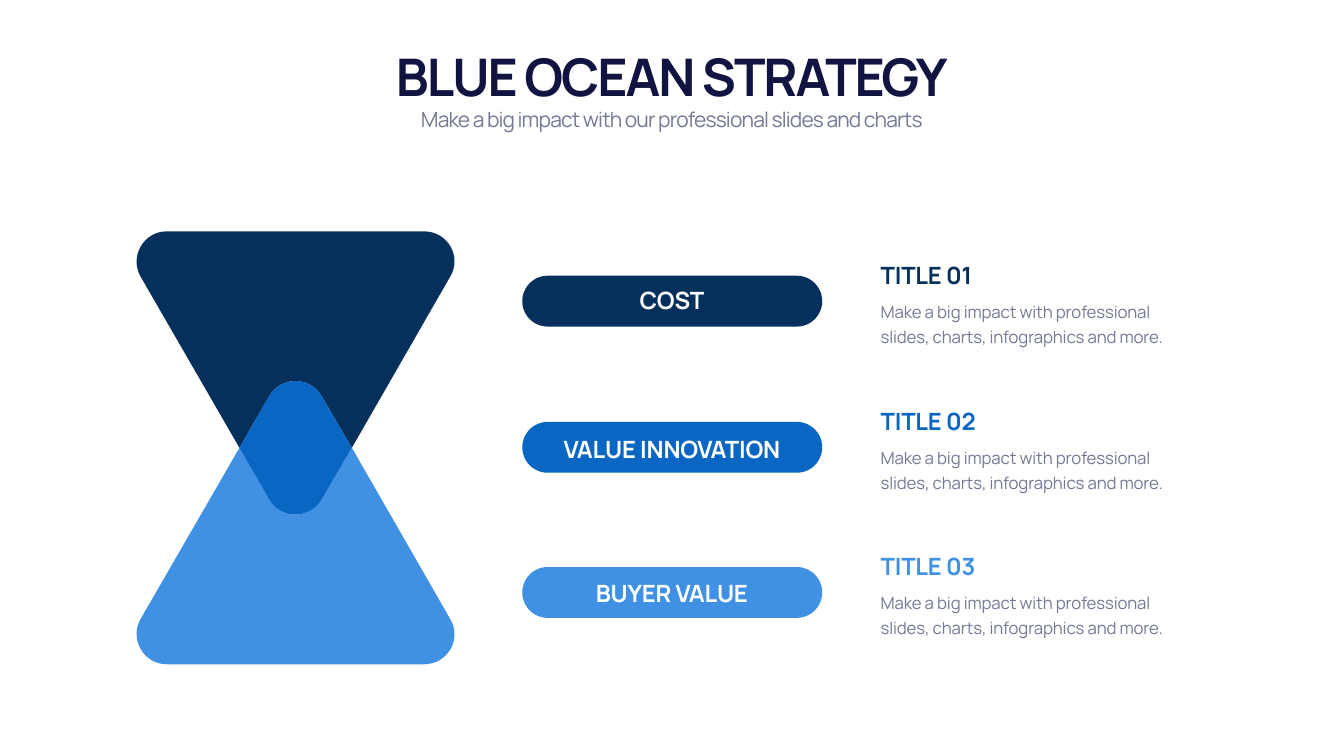
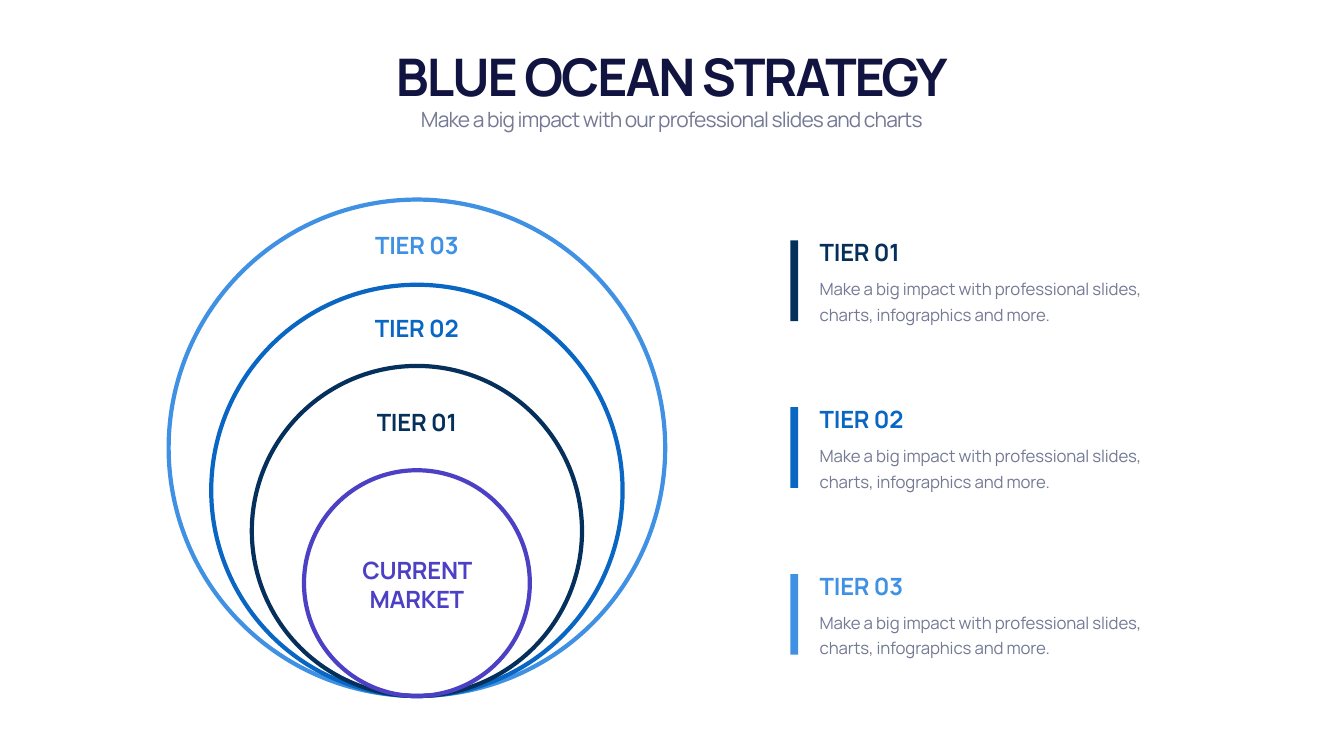
from lxml.etree import SubElement
from pptx import Presentation
from pptx.dml.color import RGBColor
from pptx.enum.shapes import MSO_SHAPE as SHAPE
from pptx.enum.text import MSO_ANCHOR as ANCHOR, MSO_AUTO_SIZE as AUTO, PP_ALIGN as ALIGN
from pptx.oxml.ns import qn
from pptx.util import Inches, Pt

COLORS = {
    "white": "FFFFFF", "ink": "111340", "gray": "747994",
    "navy": "06305C", "blue": "0A66C3", "sky": "4091E3", "violet": "4C40C5",
}
TIER_COLORS = ["navy", "blue", "sky"]
STYLES = {
    "title": {"size": Pt(74), "bold": True, "spc": -290},
    "subtitle": {"size": Pt(30), "bold": False, "spc": -120},
    "heading": {"size": Pt(34), "bold": True, "spc": -30},
    "body": {"size": Pt(24), "bold": False, "spc": -20},
}
FONT = "Manrope"
TITLE = "BLUE OCEAN STRATEGY"
SUBTITLE = "Make a big impact with our professional slides and charts"
BODY = "Make a big impact with professional slides, charts, infographics and more."


def rgb(name):
    return RGBColor.from_string(COLORS[name])


class Deck:
    def __init__(self):
        self.prs = Presentation()
        self.prs.slide_width = Inches(26.66)
        self.prs.slide_height = Inches(15)
        self.s = None

    def slide(self):
        self.s = self.prs.slides.add_slide(self.prs.slide_layouts[6])
        self.text(TITLE, "title", "ink", (1.66, 0.82, 23.33, 1.35), ANCHOR.BOTTOM, ALIGN.CENTER)
        self.text(SUBTITLE, "subtitle", "gray", (1.66, 2.07, 23.33, 0.61), align=ALIGN.CENTER)

    def text(self, words, style, color, box, anchor=ANCHOR.TOP, align=ALIGN.LEFT, spacing=None):
        tf = self.s.shapes.add_textbox(*map(Inches, box)).text_frame
        frame = {"word_wrap": True, "auto_size": AUTO.SHAPE_TO_FIT_TEXT, "vertical_anchor": anchor}
        for name, value in frame.items():
            setattr(tf, name, value)
        p = tf.paragraphs[0]
        p.alignment = align
        if spacing:
            p.line_spacing = spacing
        r = p.add_run()
        r.text = words
        r.font.name = FONT
        r.font.color.rgb = rgb(color)
        for name, value in STYLES[style].items():
            if name == "spc":
                r._r.get_or_add_rPr().set("spc", str(value))
            else:
                setattr(r.font, name, value)

    def label(self, words, color, box):
        self.text(words, "heading", color, box, ANCHOR.MIDDLE, ALIGN.CENTER)

    def entry(self, heading, color, left, top, width):
        self.text(heading, "heading", color, (left, top, width, 0.67), ANCHOR.BOTTOM)
        self.text(BODY, "body", "gray", (left, top + 0.72, width, 1.09), spacing=Pt(36))

    def paint(self, sp, color):
        sp.shadow.inherit = False
        sp.fill.solid()
        sp.fill.fore_color.rgb = rgb(color)
        sp.line.fill.background()

    def block(self, kind, color, box):
        sp = self.s.shapes.add_shape(kind, *map(Inches, box))
        self.paint(sp, color)
        return sp

    def ring(self, color, center, bottom, size):
        box = (center - size / 2, bottom - size, size, size)
        sp = self.s.shapes.add_shape(SHAPE.OVAL, *map(Inches, box))
        sp.shadow.inherit = False
        sp.fill.background()
        sp.line.color.rgb = rgb(color)
        sp.line.width = Pt(6)

    def outline(self, color, start, steps):
        points = [point for step in steps for point in step]
        builder = self.s.shapes.build_freeform(*start, scale=Inches(1) / 1000)
        builder.add_line_segments(points, close=True)
        sp = builder.convert_to_shape()
        self.paint(sp, color)
        path = next(sp._element.iter(qn("a:path")))
        lines = iter(path.findall(qn("a:lnTo")))
        for step in steps:
            segment = [next(lines) for _ in step]
            if len(step) == 3:
                curve = SubElement(path, qn("a:cubicBezTo"))
                path.replace(segment[0], curve)
                for line in segment:
                    curve.append(line[0])
                for line in segment[1:]:
                    path.remove(line)


def mil(*points):
    return [(round(x * 1000), round(y * 1000)) for x, y in points]


def flip(steps, axis=8.885):
    return [[(x, round(2 * axis * 1000) - y) for x, y in step] for step in steps]


def hourglass(deck):
    left_waist, right_waist = mil((4.75, 8.885)), mil((6.98, 8.885))
    tip_start = mil((5.34, 7.86))
    tip = mil((5.57, 7.46), (6.15, 7.46), (6.38, 7.86))
    triangle = [
        tip, right_waist, mil((8.93, 5.49)),
        mil((9.17, 5.09), (8.88, 4.59), (8.41, 4.59)), mil((3.31, 4.59)),
        mil((2.85, 4.59), (2.56, 5.09), (2.79, 5.49)), left_waist,
    ]
    deck.outline("navy", tip_start[0], triangle)
    deck.outline("sky", flip([tip_start])[0][0], flip(triangle))
    back = [mil((6.38, 7.86)), mil((6.15, 7.46), (5.57, 7.46), (5.34, 7.86))]
    deck.outline("blue", tip_start[0], [tip, right_waist] + flip(back) + [left_waist])


def value_slide(deck):
    deck.slide()
    hourglass(deck)
    rows = [
        ("COST", 5.47, 5.61, 5.11),
        ("VALUE INNOVATION", 8.37, 8.57, 8.01),
        ("BUYER VALUE", 11.25, 11.43, 10.89),
    ]
    for i, (name, pill_top, label_top, entry_top) in enumerate(rows):
        color = TIER_COLORS[i]
        pill = deck.block(SHAPE.ROUNDED_RECTANGLE, color, (10.36, pill_top, 5.95, 1.01))
        pill.adjustments[0] = 0.5
        deck.label(name, "white", (10.91, label_top, 4.84, 0.67))
        deck.entry(f"TITLE {i + 1:02}", color, 17.37, entry_top, 6.43)


def tier_slide(deck):
    deck.slide()
    center, bottom = 8.27, 13.81
    rings = [(9.85, 4.52), (8.16, 6.18), (6.55, 8.04)]
    for tier, (size, label_top) in zip((3, 2, 1), rings):
        color = TIER_COLORS[tier - 1]
        deck.ring(color, center, bottom, size)
        deck.label(f"TIER {tier:02}", color, (6.4, label_top, 3.74, 0.67))
    deck.ring("violet", center, bottom, 4.48)
    deck.label("CURRENT MARKET", "violet", (6.4, 10.97, 3.74, 1.25))
    for i, color in enumerate(TIER_COLORS):
        top = 4.77 + i * 3.31
        deck.block(SHAPE.RECTANGLE, color, (15.68, top, 0.15, 1.6))
        deck.entry(f"TIER {i + 1:02}", color, 16.16, top - 0.1, 7.21)


def main():
    deck = Deck()
    value_slide(deck)
    tier_slide(deck)
    deck.prs.save("out.pptx")


if __name__ == "__main__":
    main()
